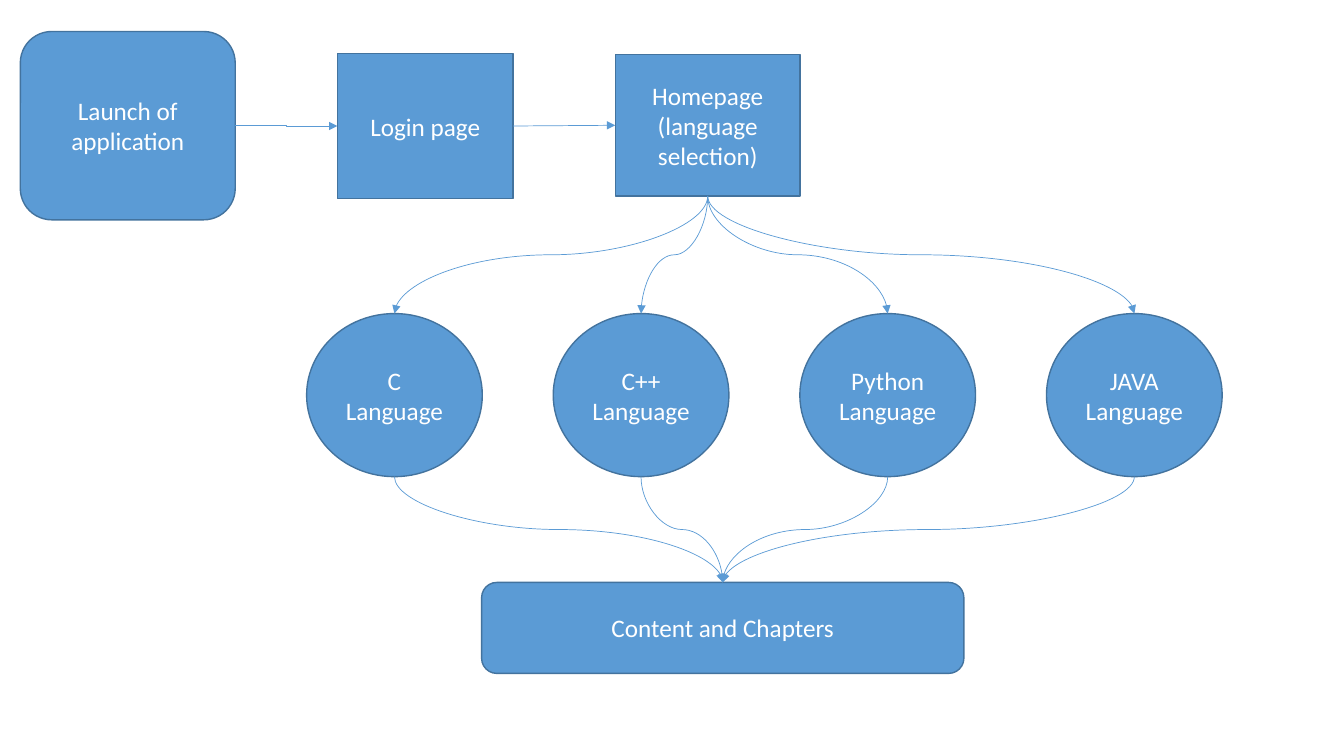
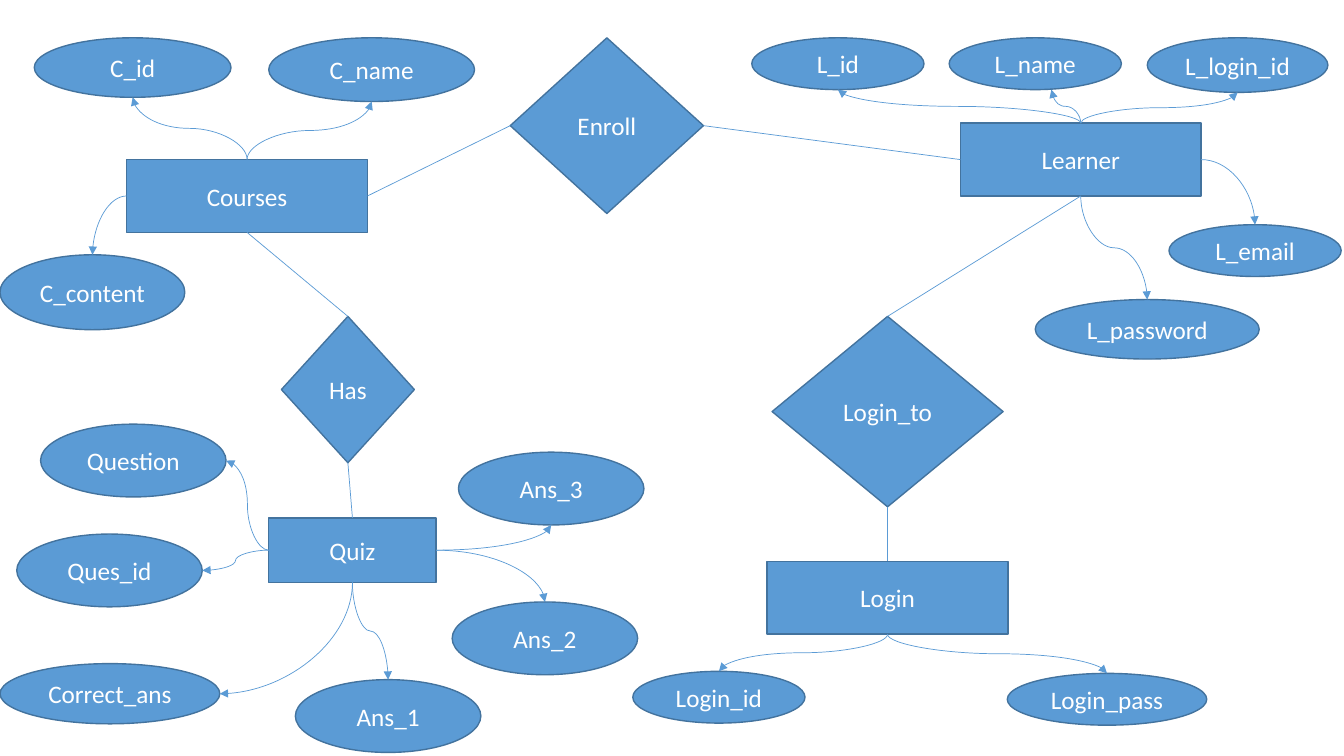
from dataclasses import dataclass

from lxml import etree
from pptx import Presentation
from pptx.dml.color import RGBColor
from pptx.enum.shapes import MSO_CONNECTOR, MSO_SHAPE
from pptx.enum.text import MSO_ANCHOR, PP_ALIGN
from pptx.oxml.ns import qn
from pptx.util import Pt

RECT = MSO_SHAPE.RECTANGLE
ROUND = MSO_SHAPE.ROUNDED_RECTANGLE
OVAL = MSO_SHAPE.OVAL
DIAMOND = MSO_SHAPE.DIAMOND
STRAIGHT = MSO_CONNECTOR.STRAIGHT
ELBOW = MSO_CONNECTOR.ELBOW
CURVE = MSO_CONNECTOR.CURVE
MIDDLE = MSO_ANCHOR.MIDDLE
CENTER = PP_ALIGN.CENTER
TOP, LEFT, BOTTOM, RIGHT = range(4)


@dataclass(frozen=True)
class Theme:
    """Colours, font and sizes shared by both diagrams."""
    fill: RGBColor = RGBColor(0x5B, 0x9B, 0xD5)
    outline: RGBColor = RGBColor(0x43, 0x73, 0x9E)
    text: RGBColor = RGBColor(0xFF, 0xFF, 0xFF)
    font: str = "Calibri"
    size: float = 18
    outline_width: float = 1
    line_width: float = 0.5


THEME = Theme()


def add_node(s, kind, box, text):
    """Add a filled shape with centred text, one line break per newline."""
    sp = s.shapes.add_shape(kind, *map(Pt, box))
    sp.shadow.inherit = False
    sp.fill.solid()
    sp.fill.fore_color.rgb = THEME.fill
    sp.line.color.rgb = THEME.outline
    sp.line.width = Pt(THEME.outline_width)
    tf = sp.text_frame
    tf.word_wrap = True
    tf.vertical_anchor = MIDDLE
    p = tf.paragraphs[0]
    p.alignment = CENTER
    for i, line in enumerate(text.split("\n")):
        if i:
            p.add_line_break()
        r = p.add_run()
        r.text = line
        r.font.name = THEME.font
        r.font.size = Pt(THEME.size)
        r.font.color.rgb = THEME.text
    return sp


def side_point(sp, side):
    """Return the middle of one side of a shape."""
    x, y = sp.left + sp.width // 2, sp.top + sp.height // 2
    return {TOP: (x, sp.top), LEFT: (sp.left, y),
            BOTTOM: (x, sp.top + sp.height), RIGHT: (sp.left + sp.width, y)}[side]


def style_line(c, arrow):
    """Give a connector its colour, width and optional arrowhead."""
    c.line.color.rgb = THEME.fill
    c.line.width = Pt(THEME.line_width)
    if arrow:
        ln = c.line._get_or_add_ln()
        etree.SubElement(ln, qn("a:tailEnd"), type="triangle")
    etree.SubElement(c.element.spPr, qn("a:effectLst"))


def join(s, a, a_side, b, b_side, kind=STRAIGHT, arrow=False):
    """Join two four-sided shapes with a straight or elbow connector."""
    c = s.shapes.add_connector(kind, *side_point(a, a_side), *side_point(b, b_side))
    c.begin_connect(a, a_side)
    c.end_connect(b, b_side)
    style_line(c, arrow)


def glue(end, sp, side):
    """Tie a curve end to a shape; an oval has eight sites, others four."""
    end.id = sp.shape_id
    end.idx = side * 2 if sp.auto_shape_type == OVAL else side


def curve(s, a, a_side, b, b_side, shift=0):
    """Draw a curved arrow, shifting its far end sideways if asked."""
    (x1, y1), (x2, y2) = side_point(a, a_side), side_point(b, b_side)
    x2 += Pt(shift)
    dx, dy = x2 - x1, y2 - y1
    w, h = abs(dx), abs(dy)
    upright = a_side in (TOP, BOTTOM)
    if upright:
        w, h = h, w
        turn = 90 if dx * dy < 0 else 270
        flip_h = (dy < 0) == (turn == 90)
        flip_v = dy < 0
    else:
        turn = 0 if dx >= 0 else 180
        flip_h = False
        flip_v = dx * dy < 0
    left, top = (x1 + x2 - w) // 2, (y1 + y2 - h) // 2
    c = s.shapes.add_connector(CURVE, left, top, left + w, top + h)
    c.rotation = turn if hasattr(c, "rotation") else 0
    xfrm = c.element.spPr.find(qn("a:xfrm"))
    for name, value in (("rot", turn * 60000), ("flipH", int(flip_h)), ("flipV", int(flip_v))):
        if value:
            xfrm.set(name, str(value))
    if upright != (b_side in (TOP, BOTTOM)):
        c.element.spPr.find(qn("a:prstGeom")).set("prst", "curvedConnector2")
    ends = c.element.nvCxnSpPr.cNvCxnSpPr
    glue(ends.get_or_add_stCxn(), a, a_side)
    if not shift:
        glue(ends.get_or_add_endCxn(), b, b_side)
    style_line(c, True)


def launch_row(s, box):
    """Place the opening steps and return the homepage."""
    x, y, w, h = box
    launch = add_node(s, ROUND, (x, y, 153.5, h), "Launch of application")
    login = add_node(s, RECT, (x + 226.5, y + 15.5, 125.5, 104), "Login page")
    home = add_node(s, RECT, (x + w - 132, y + 16.5, 132, 101), "Homepage\n(language selection)")
    join(s, launch, RIGHT, login, LEFT, ELBOW, True)
    join(s, login, RIGHT, home, LEFT, arrow=True)
    return home


def language_row(s, box, names):
    """Spread the language circles evenly across the box."""
    x, y, w, h = box
    size = 125.5
    step = (w - size) / (len(names) - 1)
    return [add_node(s, OVAL, (x + i * step, y, size, h), f"{name} Language")
            for i, name in enumerate(names)]


def flow_slide(prs):
    """Build the application flow."""
    s = prs.slides.add_slide(prs.slide_layouts[6])
    home = launch_row(s, (14.5, 22.5, 557, 134.5))
    languages = language_row(s, (219, 224, 654, 116.5), ["C", "C++", "Python", "JAVA"])
    content = add_node(s, ROUND, (344, 416, 344.5, 65), "Content and Chapters")
    for language in languages:
        curve(s, home, BOTTOM, language, TOP)
    for language in languages:
        curve(s, language, BOTTOM, content, TOP)


def entity_group(s, box, name, attributes):
    """Place an entity and its attributes, offset from the entity's corner."""
    x, y = box[:2]
    entity = add_node(s, RECT, box, name)
    for text, (dx, dy, w, h), a_side, b_side, *shift in attributes:
        oval = add_node(s, OVAL, (x + dx, y + dy, w, h), text)
        curve(s, entity, a_side, oval, b_side, *shift)
    return entity


def relationship(s, box, name, links):
    """Place a relationship diamond and join it to its entities."""
    diamond = add_node(s, DIAMOND, box, name)
    for side, entity, entity_side in links:
        join(s, diamond, side, entity, entity_side)


def entity_slide(prs):
    """Build the entity-relationship diagram."""
    s = prs.slides.add_slide(prs.slide_layouts[6])
    courses = entity_group(s, (90.5, 114, 172, 52), "Courses", [
        ("C_id", (-66, -87, 140.5, 42.5), TOP, BOTTOM),
        ("C_name", (101.5, -87, 147, 45.5), TOP, BOTTOM),
        ("C_content", (-90.5, 68, 132, 53.5), LEFT, TOP),
    ])
    learner = entity_group(s, (686, 88, 172, 52), "Learner", [
        ("L_id", (-149, -61, 123, 37), TOP, BOTTOM),
        ("L_name", (-8, -61, 123, 37), TOP, BOTTOM, 11.5),
        ("L_login_id", (133.5, -61, 129, 39), TOP, BOTTOM),
        ("L_email", (149, 72.5, 123, 37), RIGHT, TOP),
        ("L_password", (53.5, 126, 160, 42.5), BOTTOM, TOP),
    ])
    login = entity_group(s, (548, 401, 172, 52), "Login", [
        ("Login_id", (-96, 78.5, 123, 37), BOTTOM, TOP),
        ("Login_pass", (171.5, 80, 142.5, 37), BOTTOM, TOP),
    ])
    quiz = entity_group(s, (192, 370, 119.5, 46), "Quiz", [
        ("Question", (-163, -67, 132.5, 52), LEFT, RIGHT),
        ("Ques_id", (-180, 11.5, 132.5, 52), LEFT, RIGHT),
        ("Ans_1", (19, 115.5, 132.5, 52), BOTTOM, TOP),
        ("Ans_2", (131, 60, 132.5, 52), RIGHT, TOP),
        ("Ans_3", (135.5, -47, 132.5, 52), RIGHT, BOTTOM),
        ("Correct_ans", (-192, 104, 157, 43), BOTTOM, RIGHT),
    ])
    relationship(s, (364.5, 27, 138, 125.5), "Enroll",
                 [(LEFT, courses, RIGHT), (RIGHT, learner, LEFT)])
    relationship(s, (551.5, 226, 165, 136), "Login_to",
                 [(TOP, learner, BOTTOM), (BOTTOM, login, TOP)])
    relationship(s, (201, 226, 95, 104.5), "Has",
                 [(TOP, courses, BOTTOM), (BOTTOM, quiz, TOP)])


def main():
    """Build and save the presentation."""
    prs = Presentation()
    prs.slide_width, prs.slide_height = Pt(960), Pt(540)
    flow_slide(prs)
    entity_slide(prs)
    prs.save("out.pptx")


if __name__ == "__main__":
    main()
